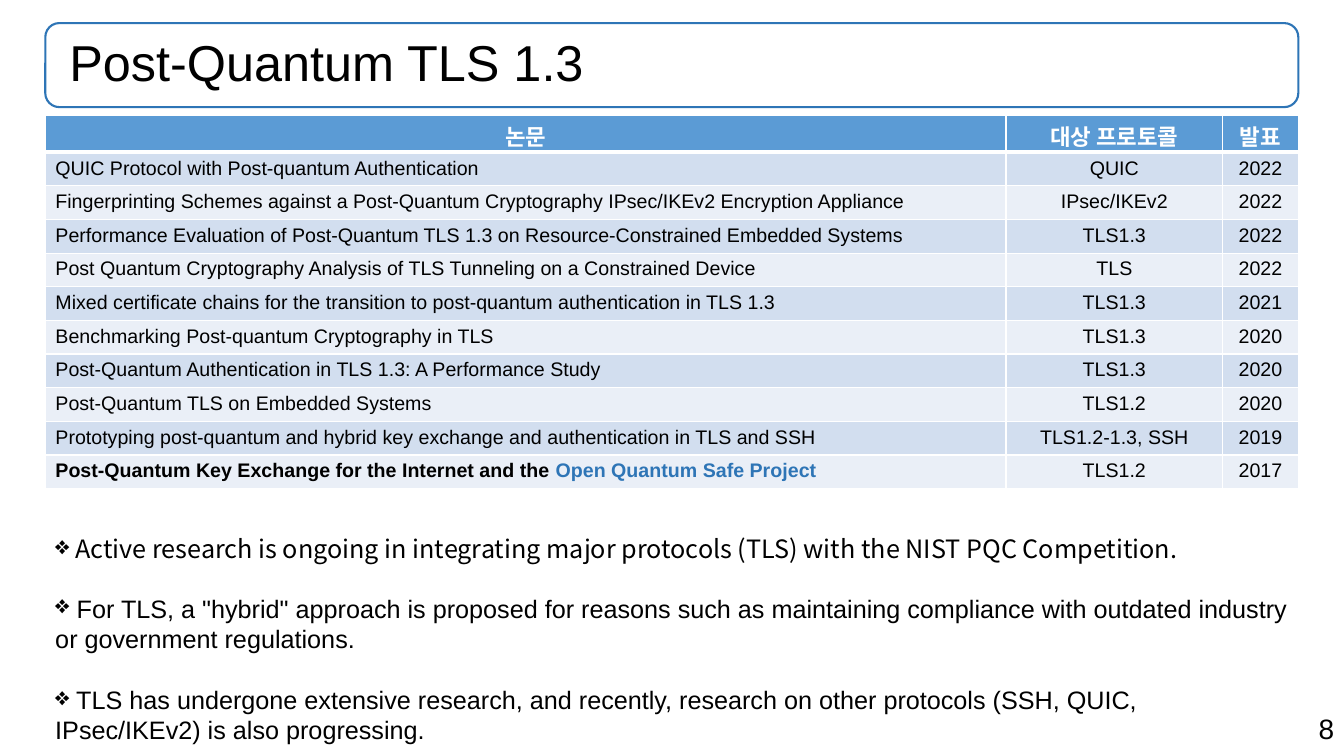
import pptx
import pptx.util
import pptx.dml.color
import pptx.enum.shapes
import pptx.enum.text
from lxml import etree
from pptx.oxml.ns import qn

Pt = pptx.util.Pt
RGBColor = pptx.dml.color.RGBColor
PP_ALIGN = pptx.enum.text.PP_ALIGN
MSO_ANCHOR = pptx.enum.text.MSO_ANCHOR

TITLE = "Post-Quantum TLS 1.3"
PAGE_NUMBER = "8"
HEADER = ("논문", "대상 프로토콜", "발표")
HIGHLIGHT = "Open Quantum Safe Project"
PAPERS = [
    ("QUIC Protocol with Post-quantum Authentication", "QUIC", "2022"),
    ("Fingerprinting Schemes against a Post-Quantum Cryptography IPsec/IKEv2 Encryption Appliance",
     "IPsec/IKEv2", "2022"),
    ("Performance Evaluation of Post-Quantum TLS 1.3 on Resource-Constrained Embedded Systems",
     "TLS1.3", "2022"),
    ("Post Quantum Cryptography Analysis of TLS Tunneling on a Constrained Device", "TLS", "2022"),
    ("Mixed certificate chains for the transition to post-quantum authentication in TLS 1.3",
     "TLS1.3", "2021"),
    ("Benchmarking Post-quantum Cryptography in TLS", "TLS1.3", "2020"),
    ("Post-Quantum Authentication in TLS 1.3: A Performance Study", "TLS1.3", "2020"),
    ("Post-Quantum TLS on Embedded Systems", "TLS1.2", "2020"),
    ("Prototyping post-quantum and hybrid key exchange and authentication in TLS and SSH",
     "TLS1.2-1.3, SSH", "2019"),
    ("Post-Quantum Key Exchange for the Internet and the ", "TLS1.2", "2017"),
]
ARIAL = "Arial"
NOTO = "Noto Sans CJK KR"
# text, font, space before
FINDINGS = [
    (" Active research is ongoing in integrating major protocols (TLS) "
     "with the NIST PQC Competition.", NOTO, 0),
    (' For TLS, a "hybrid" approach is proposed for reasons such as maintaining compliance '
     "with outdated industry or government regulations.", ARIAL, 21),
    (" TLS has undergone extensive research, and recently, research on other protocols "
     "(SSH, QUIC, IPsec/IKEv2) is also progressing.", ARIAL, 22),
]

BLACK = RGBColor(0x00, 0x00, 0x00)
WHITE = RGBColor(0xFF, 0xFF, 0xFF)
BLUE = RGBColor(0x2E, 0x75, 0xB6)
HEADER_FILL = RGBColor(0x5B, 0x9B, 0xD5)
BAND_FILLS = (RGBColor(0xD2, 0xDE, 0xEF), RGBColor(0xEA, 0xEF, 0xF7))

LEFT, WIDTH = 32.4, 895
TITLE_TOP, TITLE_HEIGHT = 16.5, 60
TABLE_TOP = 82.1
COLUMN_WIDTHS = (686.2, 154.8, 54)
HEADER_HEIGHT, ROW_HEIGHT = 26.6, 24.05
FINDINGS_TOP, FINDINGS_HEIGHT = 377.3, 206


def style(font, size, color=BLACK, name=ARIAL, bold=False):
    font.size, font.name, font.bold = Pt(size), name, bold
    font.color.rgb = color


def add_text_box(slide, left, top, width, height):
    text_frame = slide.shapes.add_textbox(Pt(left), Pt(top), Pt(width), Pt(height)).text_frame
    text_frame.word_wrap = True
    return text_frame


def set_borders(cell, top=1, bottom=1):
    """White cell borders; widths in points, placed before the cell fill."""
    properties = cell._tc.get_or_add_tcPr()
    widths = (("a:lnL", 1), ("a:lnR", 1), ("a:lnT", top), ("a:lnB", bottom))
    for position, (tag, width) in enumerate(widths):
        line = etree.Element(qn(tag), w=str(Pt(width)))
        fill = etree.SubElement(line, qn("a:solidFill"))
        etree.SubElement(fill, qn("a:srgbClr"), val=str(WHITE))
        properties.insert(position, line)


def add_title(slide):
    frame = slide.shapes.add_shape(
        pptx.enum.shapes.MSO_SHAPE.ROUNDED_RECTANGLE,
        Pt(LEFT), Pt(TITLE_TOP), Pt(WIDTH), Pt(TITLE_HEIGHT))
    frame.shadow.inherit = False
    frame.fill.background()
    frame.line.color.rgb = BLUE
    frame.line.width = Pt(1.5)
    text_frame = add_text_box(slide, LEFT, TITLE_TOP, WIDTH, TITLE_HEIGHT)
    text_frame.vertical_anchor = MSO_ANCHOR.MIDDLE
    text_frame.margin_left = Pt(17.2)
    text_frame.text = TITLE
    paragraph = text_frame.paragraphs[0]
    paragraph.line_spacing = 0.9
    style(paragraph.runs[0].font, 36)


def add_paper_table(slide):
    rows = [HEADER] + PAPERS
    height = HEADER_HEIGHT + ROW_HEIGHT * len(PAPERS)
    table = slide.shapes.add_table(
        len(rows), len(HEADER), Pt(LEFT), Pt(TABLE_TOP), Pt(WIDTH), Pt(height)).table
    for column, width in zip(table.columns, COLUMN_WIDTHS):
        column.width = Pt(width)
    for r, values in enumerate(rows):
        is_header = r == 0
        table.rows[r].height = Pt(HEADER_HEIGHT if is_header else ROW_HEIGHT)
        for c, value in enumerate(values):
            cell = table.cell(r, c)
            cell.fill.solid()
            cell.fill.fore_color.rgb = HEADER_FILL if is_header else BAND_FILLS[(r - 1) % 2]
            set_borders(cell, top=3 if r == 1 else 1, bottom=3 if is_header else 1)
            cell.text_frame.text = value
            paragraph = cell.text_frame.paragraphs[0]
            paragraph.alignment = PP_ALIGN.CENTER if is_header or c else PP_ALIGN.LEFT
            style(paragraph.runs[0].font, 16 if is_header else 14,
                  WHITE if is_header else BLACK, bold=is_header)
    paragraph = table.cell(len(PAPERS), 0).text_frame.paragraphs[0]
    paragraph.runs[0].font.bold = True
    run = paragraph.add_run()
    run.text = HIGHLIGHT
    style(run.font, 14, BLUE, bold=True)


def add_findings(slide):
    text_frame = add_text_box(slide, LEFT, FINDINGS_TOP, WIDTH, FINDINGS_HEIGHT)
    text_frame.text = "\n".join(text for text, _, _ in FINDINGS)
    for paragraph, (_, font_name, gap) in zip(text_frame.paragraphs, FINDINGS):
        properties = paragraph._p.get_or_add_pPr()
        etree.SubElement(properties, qn("a:buChar"), char="❖")
        paragraph.space_before = Pt(gap)
        style(paragraph.runs[0].font, 18, name=font_name)


def add_page_number(slide):
    text_frame = add_text_box(slide, 679, 504.7, 281, 31.5)
    text_frame.text = PAGE_NUMBER
    paragraph = text_frame.paragraphs[0]
    paragraph.alignment = PP_ALIGN.RIGHT
    style(paragraph.runs[0].font, 20)


def main():
    presentation = pptx.Presentation()
    presentation.slide_width, presentation.slide_height = Pt(960), Pt(540)
    slide = presentation.slides.add_slide(presentation.slide_layouts[6])
    add_page_number(slide)
    add_title(slide)
    add_paper_table(slide)
    add_findings(slide)
    presentation.save("out.pptx")


if __name__ == "__main__":
    main()
